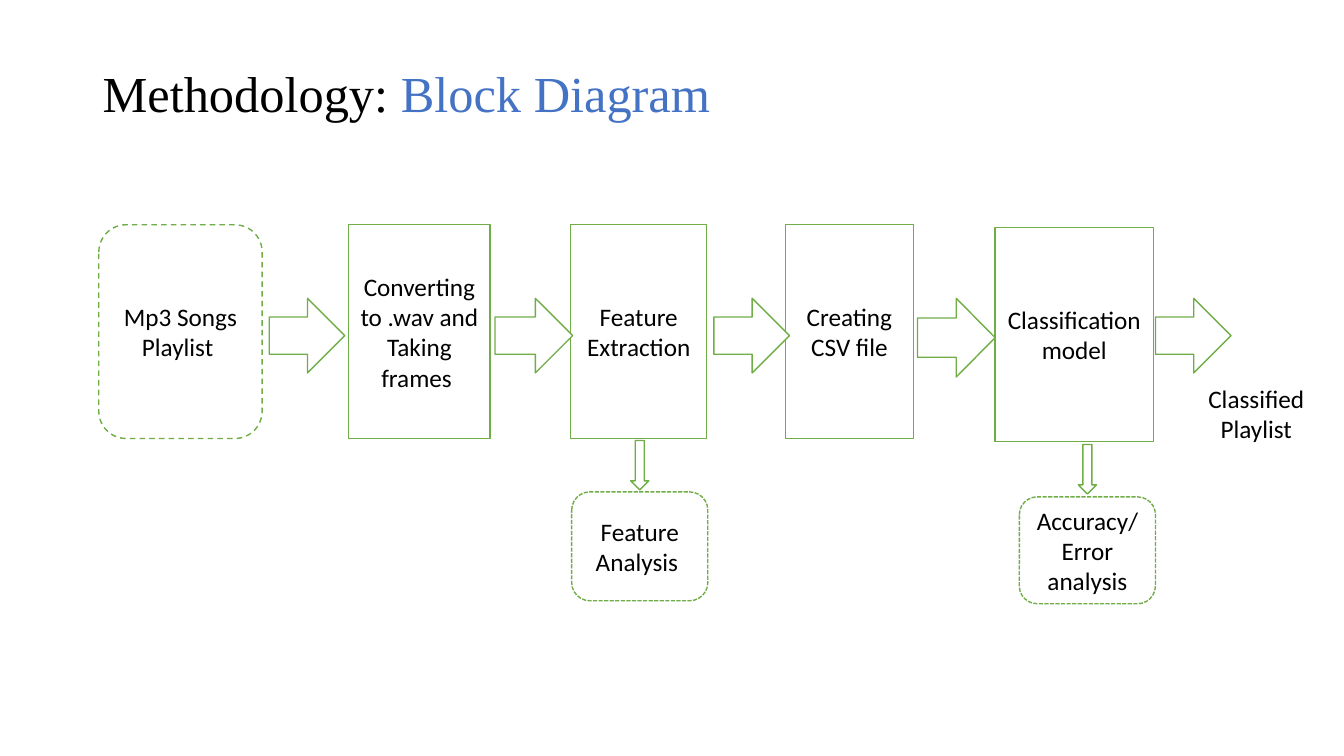
from dataclasses import dataclass

from pptx import Presentation
from pptx.dml.color import RGBColor
from pptx.enum import dml, shapes, text
from pptx.util import Inches, Pt


@dataclass(frozen=True)
class Theme:
    """Colours, fonts and sizes of the slide."""
    ink: RGBColor = RGBColor(0, 0, 0)
    accent: RGBColor = RGBColor(0x44, 0x72, 0xC4)
    outline: RGBColor = RGBColor(0x70, 0xAD, 0x47)
    paper: RGBColor = RGBColor(0xFF, 0xFF, 0xFF)
    title_font: str = "Times New Roman"
    body_font: str = "Calibri"
    title_size: int = 36
    body_size: int = 18
    line_width: int = 1


THEME = Theme()
KIND = shapes.MSO_SHAPE
DASH = dml.MSO_LINE.DASH
SHORT_DASH = dml.MSO_LINE.SQUARE_DOT

TITLE = [("Methodology: ", THEME.ink), ("Block Diagram", THEME.accent)]
TITLE_AREA = (0.92, 0.58, 11.5, 0.75)
RESULT = "Classified Playlist"
RESULT_AREA = (11.84, 3.75, 1.24, 0.71)

STAGE_TOP, STAGE_HEIGHT = 2.23, 2.12
ARROW_TOP = 2.96
DOWN_WIDTH, DOWN_HEIGHT = 0.18, 0.49
ANALYSIS_WIDTH = 1.35

# wording, left, width, drop below the stage top, kind, dash
STAGES = [
    ("Mp3 Songs Playlist ", 0.98, 1.62, 0, KIND.ROUNDED_RECTANGLE, DASH),
    ("Converting to .wav and Taking frames ", 3.46, 1.4, 0, KIND.RECTANGLE, None),
    ("Feature Extraction", 5.66, 1.35, 0, KIND.RECTANGLE, None),
    ("Creating CSV file", 7.79, 1.27, 0, KIND.RECTANGLE, None),
    ("Classification model", 9.87, 1.57, 0.03, KIND.RECTANGLE, None),
]
# left, width, height of the arrow that follows each stage
FLOWS = [(2.67, 0.75, 0.74), (4.91, 0.77, 0.74), (7.08, 0.75, 0.74),
         (9.1, 0.77, 0.78), (11.46, 0.75, 0.74)]
# wording, left, top, height, top of the arrow above
ANALYSES = [
    ("Feature Analysis ", 5.67, 4.88, 1.08, 4.37),
    ("Accuracy/Error analysis", 10.11, 4.93, 1.06, 4.41),
]


def style_run(run, font, size, color):
    """Set the font, size and colour of one run."""
    run.font.name = font
    run.font.size = Pt(size)
    run.font.color.rgb = color


def write_label(frame, wording):
    """Write centred body text into a text frame."""
    frame.word_wrap = True
    frame.text = wording
    paragraph = frame.paragraphs[0]
    paragraph.alignment = text.PP_ALIGN.CENTER
    style_run(paragraph.runs[0], THEME.body_font, THEME.body_size, THEME.ink)


def add_block(slide, kind, area, wording="", dash=None):
    """Add an outlined shape, with a label if there is wording."""
    block = slide.shapes.add_shape(kind, *map(Inches, area))
    block.shadow.inherit = False
    block.fill.solid()
    block.fill.fore_color.rgb = THEME.paper
    block.line.color.rgb = THEME.outline
    block.line.width = Pt(THEME.line_width)
    if dash is not None:
        block.line.dash_style = dash
    if wording:
        block.text_frame.vertical_anchor = text.MSO_ANCHOR.MIDDLE
        write_label(block.text_frame, wording)


def add_title(slide):
    """Add the two-coloured heading."""
    frame = slide.shapes.add_textbox(*map(Inches, TITLE_AREA)).text_frame
    frame.word_wrap = True
    frame.vertical_anchor = text.MSO_ANCHOR.MIDDLE
    paragraph = frame.paragraphs[0]
    paragraph.line_spacing = 0.9
    for wording, color in TITLE:
        run = paragraph.add_run()
        run.text = wording
        style_run(run, THEME.title_font, THEME.title_size, color)


def add_pipeline(slide):
    """Add the row of stages, then the arrows over it and the result."""
    for wording, left, width, drop, kind, dash in STAGES:
        area = (left, STAGE_TOP + drop, width, STAGE_HEIGHT)
        add_block(slide, kind, area, wording, dash)
    for left, width, height in FLOWS:
        add_block(slide, KIND.RIGHT_ARROW, (left, ARROW_TOP, width, height))
    result = slide.shapes.add_textbox(*map(Inches, RESULT_AREA))
    write_label(result.text_frame, RESULT)


def add_analyses(slide):
    """Add each analysis block with a centred arrow leading down to it."""
    for wording, left, top, height, arrow_top in ANALYSES:
        arrow_left = left + (ANALYSIS_WIDTH - DOWN_WIDTH) / 2
        add_block(slide, KIND.DOWN_ARROW,
                  (arrow_left, arrow_top, DOWN_WIDTH, DOWN_HEIGHT))
        add_block(slide, KIND.ROUNDED_RECTANGLE,
                  (left, top, ANALYSIS_WIDTH, height), wording, SHORT_DASH)


def main():
    """Build and save the slide."""
    deck = Presentation()
    deck.slide_width, deck.slide_height = Inches(13.33), Inches(7.5)
    slide = deck.slides.add_slide(deck.slide_layouts[6])
    add_title(slide)
    add_pipeline(slide)
    add_analyses(slide)
    deck.save("out.pptx")


main()
